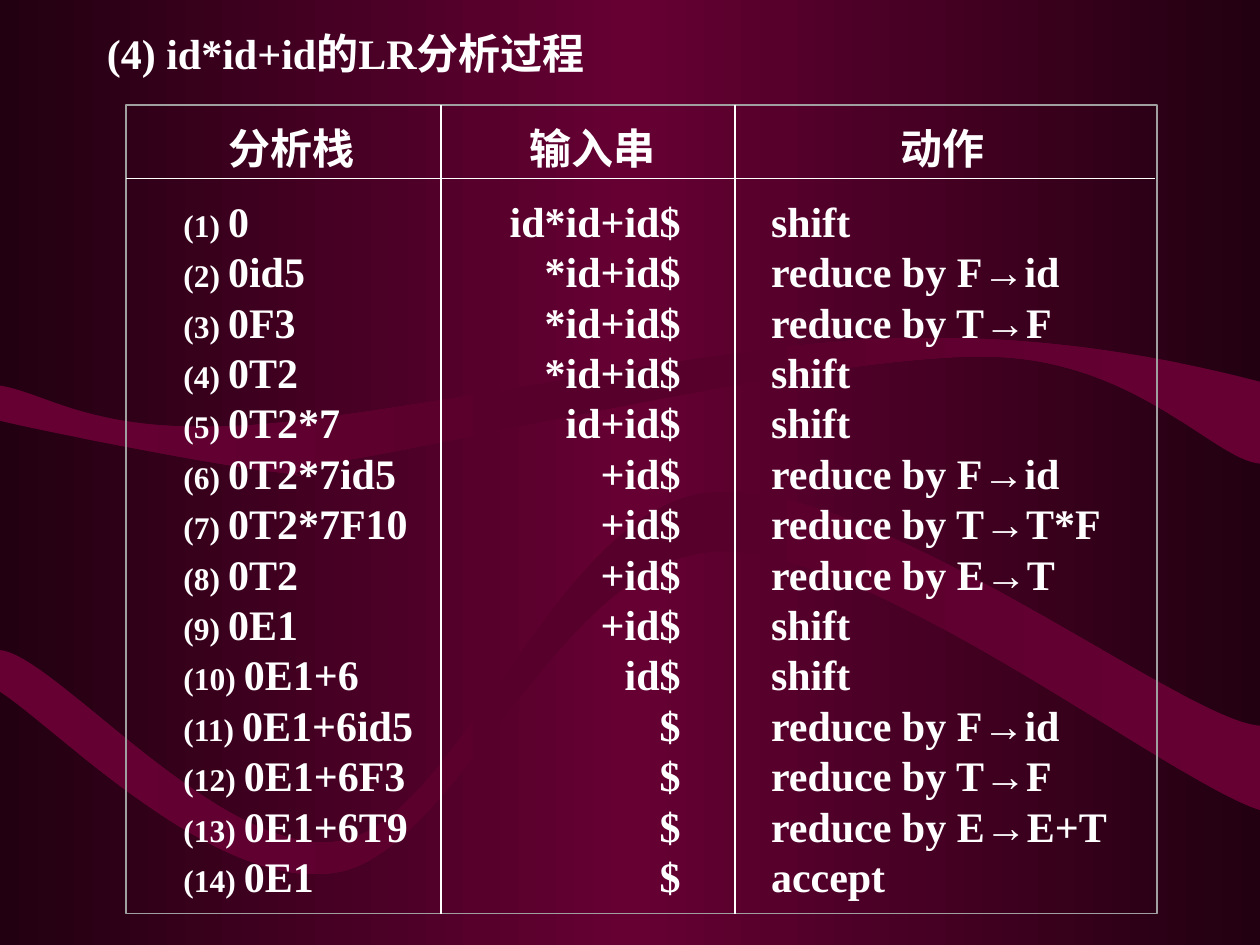
from copy import deepcopy
from pptx import Presentation
from pptx.util import Inches, Pt
from pptx.dml.color import RGBColor
from pptx.enum.shapes import MSO_CONNECTOR as CONN, MSO_SHAPE as SHAPE
from pptx.enum.text import MSO_ANCHOR as ANCHOR, PP_ALIGN as ALIGN
from pptx.oxml.ns import qn
from lxml.etree import SubElement

UNIT = Inches(1) / 12  # the grid is 120 columns by 90 rows
rgb = RGBColor.from_string


def shade(fill, edge, middle):
    """Fill with a horizontal gradient that is the same at both edges."""
    fill.gradient()
    fill.gradient_angle = 0
    last = fill.gradient_stops[1]._gs
    last.addprevious(deepcopy(last))
    for stop, pos, color in zip(fill.gradient_stops, (0, 0.5, 1), (edge, middle, edge)):
        stop.position = pos
        stop.color.rgb = rgb(color)


def add_text(box, lines, align, anchor=ANCHOR.TOP, indent=0, pitch=None):
    """Add a text box; each line is a list of (text, size, font) runs."""
    tf = s.shapes.add_textbox(*(round(v * UNIT) for v in box)).text_frame
    tf.word_wrap = True
    tf.vertical_anchor = anchor
    for i, runs in enumerate(lines):
        p = tf.paragraphs[0] if i == 0 else tf.add_paragraph()
        p.alignment = align
        p.line_spacing = pitch
        p._p.get_or_add_pPr().set("marL", str(Pt(indent)))
        p.font.bold = True
        p.font.color.rgb = rgb("FFFFFF")
        for text, size, font in runs:
            r = p.add_run()
            r.text = text
            r.font.size = Pt(size)
            r.font.name = font


prs = Presentation()
prs.slide_width, prs.slide_height = Inches(10), Inches(7.5)
s = prs.slides.add_slide(prs.slide_layouts[6])
shade(s.background.fill, "220011", "660033")

# Ribbons: a start point, then Bezier segments; a pair alone is a straight edge
ribbons = [
    [(0, 3.06), (0, 3.34),
     (0.37, 3.43, 1.75, 3.7, 2.22, 3.75), (2.69, 3.8, 1.9, 3.79, 2.82, 3.64),
     (3.75, 3.48, 6.6, 2.82, 7.8, 2.83), (9, 2.83, 9.63, 3.65, 10, 3.68),
     (10, 3.03),
     (9.5, 2.9, 8.36, 2.63, 7.01, 2.69), (5.66, 2.74, 3.07, 3.32, 1.9, 3.38),
     (0.73, 3.44, 0.4, 3.13, 0, 3.06)],
    [(0, 5.16), (0, 5.49),
     (0.45, 5.78, 1.74, 7.11, 2.69, 6.92), (3.63, 6.74, 4.43, 4.46, 5.65, 4.38),
     (6.87, 4.29, 9.27, 6.2, 10, 6.43),
     (10, 5.76),
     (9.38, 5.72, 6.91, 3.77, 5.62, 3.91), (4.41, 4.06, 3.67, 6.46, 2.73, 6.67),
     (1.79, 6.87, 0.45, 5.2, 0, 5.16)],
]
for start, *segments in ribbons:
    points = [(Inches(x), Inches(y)) for seg in segments
              for x, y in zip(seg[::2], seg[1::2])]
    builder = s.shapes.build_freeform(Inches(start[0]), Inches(start[1]))
    builder.add_line_segments(points, close=True)
    sp = builder.convert_to_shape()
    # Join every three straight steps of a curve into one Bezier step
    edges = iter(list(sp._element.iter(qn("a:lnTo"))))
    for seg in segments:
        edge = next(edges)
        if len(seg) == 6:
            curve = edge.getparent().makeelement(qn("a:cubicBezTo"))
            edge.addprevious(curve)
            for part in (edge, next(edges), next(edges)):
                curve.append(part[0])
                part.getparent().remove(part)
    sp.shadow.inherit = False
    sp.line.fill.background()
    shade(sp.fill, "660033", "56002B")

SERIF, SANS = "Times New Roman", "Arial"
add_text((9, 2, 98, 6), [[("(4) id*id+id的LR分析过程", 24, SERIF)]],
         ALIGN.LEFT, ANCHOR.MIDDLE)
for left, width, heading in [(12.9, 29.8, "分析栈"), (44.4, 24, "输入串"), (70.25, 39, "动作")]:
    add_text((left, 11.08, width, 5.9), [[(heading, 24, SERIF)]], ALIGN.CENTER)

steps = [
    ("0", "id*id+id$", "shift"),
    ("0id5", "*id+id$", "reduce by F→id"),
    ("0F3", "*id+id$", "reduce by T→F"),
    ("0T2", "*id+id$", "shift"),
    ("0T2*7", "id+id$", "shift"),
    ("0T2*7id5", "+id$", "reduce by F→id"),
    ("0T2*7F10", "+id$", "reduce by T→T*F"),
    ("0T2", "+id$", "reduce by E→T"),
    ("0E1", "+id$", "shift"),
    ("0E1+6", "id$", "shift"),
    ("0E1+6id5", "$", "reduce by F→id"),
    ("0E1+6F3", "$", "reduce by T→F"),
    ("0E1+6T9", "$", "reduce by E→E+T"),
    ("0E1", "$", "accept"),
]
stacks, inputs, actions = [], [], []
for n, (stack, rest, action) in enumerate(steps, 1):
    stacks.append([(f"({n}) ", 18, SERIF), (stack, 24, SERIF)])
    inputs.append([(rest, 24, SERIF)])
    head, arrow, tail = action.partition("→")
    runs = [(head, 24, SERIF), (arrow, 24, SANS), (tail, 24, SERIF)]
    actions.append([run for run in runs if run[0]])
for left, width, lines, align, indent in [
        (16.3, 29.8, stacks, ALIGN.JUSTIFY, 0),
        (45, 21, inputs, ALIGN.RIGHT, 0),
        (70.25, 39, actions, ALIGN.JUSTIFY, 12)]:
    add_text((left, 18, width, 69.5), lines, align, indent=indent, pitch=Pt(28.8))

LEFT, TOP, RIGHT, BOTTOM = 12, 10, 110, 87
frame = s.shapes.add_shape(SHAPE.RECTANGLE, *(
    round(v * UNIT) for v in (LEFT, TOP, RIGHT - LEFT + 0.2, BOTTOM - TOP)))
frame.shadow.inherit = False
frame.fill.background()
frame.line.color.rgb = rgb("A0A0A0")
frame.line.width = Pt(0.75)
for ends in [(LEFT, 17, RIGHT, 17), (42, TOP, 42, BOTTOM), (70, TOP, 70, BOTTOM)]:
    rule = s.shapes.add_connector(CONN.STRAIGHT, *(round(v * UNIT) for v in ends))
    rule.line.color.rgb = rgb("FFFFFF")
    rule.line.width = Pt(0.75)
    SubElement(rule._element.spPr, qn("a:effectLst"))

prs.save("out.pptx")
